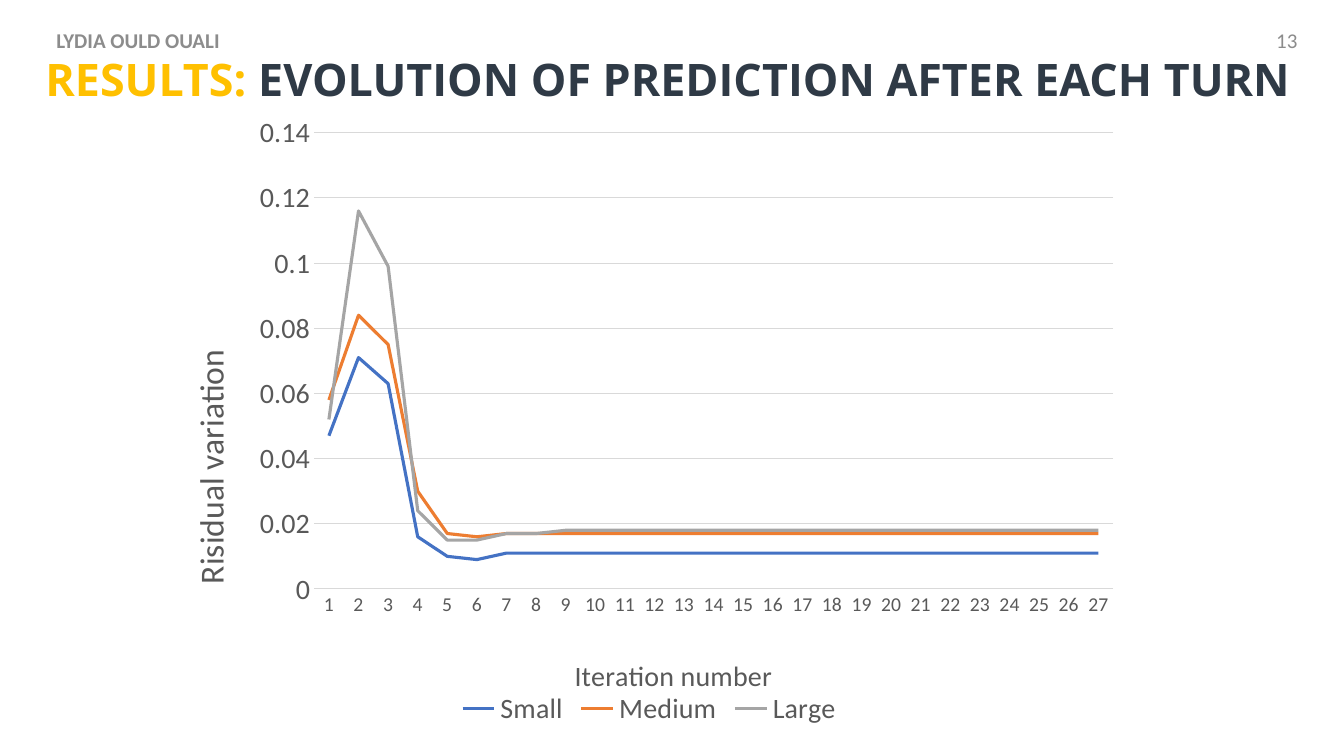
from dataclasses import dataclass

from lxml import etree
from pptx import Presentation
from pptx.chart.axis import _BaseAxis as Axis
from pptx.chart.data import CategoryChartData
from pptx.dml.color import RGBColor
from pptx.enum.chart import XL_CHART_TYPE as ChartType
from pptx.enum.chart import XL_LEGEND_POSITION as LegendPosition
from pptx.enum.chart import XL_TICK_MARK as TickMark
from pptx.enum.text import MSO_ANCHOR as Anchor
from pptx.enum.text import MSO_AUTO_SIZE as AutoSize
from pptx.enum.text import PP_ALIGN as Align
from pptx.oxml.ns import qn
from pptx.slide import Slide
from pptx.text.text import Font
from pptx.util import Pt

COLORS = {
    "yellow": "FFC000",
    "navy": "2F3A46",
    "header": "8C8C8C",
    "text": "595959",
    "grid": "D9D9D9",
    "blue": "4472C4",
    "orange": "ED7D31",
    "gray": "A5A5A5",
}
ITERATIONS = 27


@dataclass(frozen=True)
class HeaderLabel:
    text: str
    left: float
    bold: bool


@dataclass(frozen=True)
class SizeSeries:
    """Opening values of a line; the last one holds for the remaining iterations."""
    name: str
    color: str
    opening: tuple[float, ...]

    def values(self) -> list[float]:
        steady = [self.opening[-1]] * (ITERATIONS - len(self.opening))
        return [*self.opening, *steady]


HEADER_LABELS = [
    HeaderLabel("13", 717.84, False),
    HeaderLabel("LYDIA OULD OUALI", -51.84, True),
]
SERIES = [
    SizeSeries("Small", "blue", (0.047, 0.071, 0.063, 0.016, 0.01, 0.009, 0.011)),
    SizeSeries("Medium", "orange", (0.058, 0.084, 0.075, 0.03, 0.017, 0.016, 0.017)),
    SizeSeries("Large", "gray",
               (0.052, 0.116, 0.099, 0.024, 0.015, 0.015, 0.017, 0.017, 0.018)),
]


def rgb(color: str) -> RGBColor:
    return RGBColor.from_string(COLORS[color])


def style_font(font: Font, size: float, color: str, name: str = "Calibri",
               bold: bool = False) -> None:
    font.name = name
    font.size = Pt(size)
    font.bold = bold
    font.color.rgb = rgb(color)


def set_layout(parent: etree._Element, index: int, **settings: object) -> None:
    """Give a chart part a manual layout, as fractions of the chart area."""
    layout = parent.find(qn("c:layout"))
    if layout is None:
        layout = etree.Element(qn("c:layout"))
        parent.insert(index, layout)
    manual = etree.SubElement(layout, qn("c:manualLayout"))
    for tag, value in settings.items():
        etree.SubElement(manual, qn(f"c:{tag}")).set("val", str(value))


def add_header_label(slide: Slide, label: HeaderLabel) -> None:
    box = slide.shapes.add_textbox(Pt(label.left), Pt(14.4), Pt(216), Pt(28.8))
    frame = box.text_frame
    frame.word_wrap = True
    frame.vertical_anchor = Anchor.MIDDLE
    frame.text = label.text
    paragraph = frame.paragraphs[0]
    paragraph.alignment = Align.RIGHT
    style_font(paragraph.runs[0].font, 15, "header", bold=label.bold)


def format_title(slide: Slide) -> None:
    title = slide.shapes.title
    title.left, title.top = Pt(25.2), Pt(16.56)
    title.width, title.height = Pt(906.48), Pt(83.52)
    frame = title.text_frame
    frame.auto_size = AutoSize.NONE
    frame.vertical_anchor = Anchor.MIDDLE
    paragraph = frame.paragraphs[0]
    paragraph.alignment = Align.LEFT
    paragraph.line_spacing = 0.9
    for text, color in (("RESULTS:", "yellow"),
                        (" EVOLUTION OF PREDICTION AFTER EACH TURN", "navy")):
        run = paragraph.add_run()
        run.text = text
        style_font(run.font, 32, color, "Open Sans", bold=True)


def format_axis(axis: Axis, title: str, title_size: float, tick_size: float,
                x: float, y: float, rotation: int) -> None:
    axis.major_tick_mark = axis.minor_tick_mark = TickMark.NONE
    style_font(axis.tick_labels.font, tick_size, "text")
    frame = axis.axis_title.text_frame
    frame.text = title
    style_font(frame.paragraphs[0].runs[0].font, title_size, "text")
    title_element = axis.axis_title.element
    body = title_element.find(".//" + qn("a:bodyPr"))
    body.set("rot", str(rotation))
    body.set("vert", "horz")
    set_layout(title_element, 1, xMode="edge", yMode="edge", x=x, y=y)


def add_variation_chart(slide: Slide) -> None:
    data = CategoryChartData()
    data.categories = [str(number) for number in range(1, ITERATIONS + 1)]
    for entry in SERIES:
        data.add_series(entry.name, entry.values())
    chart = slide.shapes.add_chart(ChartType.LINE, Pt(108.72), Pt(75.6),
                                   Pt(709.92), Pt(447.12), data).chart
    chart.has_title = False
    chart.font.name = "Calibri"
    chart.font.size = Pt(10)

    chart.has_legend = True
    chart.legend.position = LegendPosition.BOTTOM
    chart.legend.include_in_layout = False
    style_font(chart.legend.font, 20, "text")

    iterations, variation = chart.category_axis, chart.value_axis
    format_axis(iterations, "Iteration number", 20, 14, 0.42, 0.87, 0)
    format_axis(variation, "Risidual variation", 24, 20, 0.03, 0.38, -5400000)
    variation.minimum_scale, variation.maximum_scale = 0, 0.14
    variation.major_unit = 0.02
    variation.format.line.fill.background()
    for line in (iterations.format.line, variation.major_gridlines.format.line):
        line.color.rgb = rgb("grid")
        line.width = Pt(0.75)

    for series, entry in zip(chart.plots[0].series, SERIES):
        series.smooth = False
        series.format.line.color.rgb = rgb(entry.color)
        series.format.line.width = Pt(2.25)
    plot_area = chart.element.find(".//" + qn("c:plotArea"))
    set_layout(plot_area, 0, layoutTarget="inner", xMode="edge", yMode="edge",
               x=0.163, y=0.043, w=0.804, h=0.729)


def main() -> None:
    presentation = Presentation()
    presentation.slide_width, presentation.slide_height = Pt(960), Pt(540)
    slide = presentation.slides.add_slide(presentation.slide_layouts[5])
    format_title(slide)
    add_variation_chart(slide)
    for label in HEADER_LABELS:
        add_header_label(slide, label)
    presentation.save("out.pptx")


if __name__ == "__main__":
    main()
